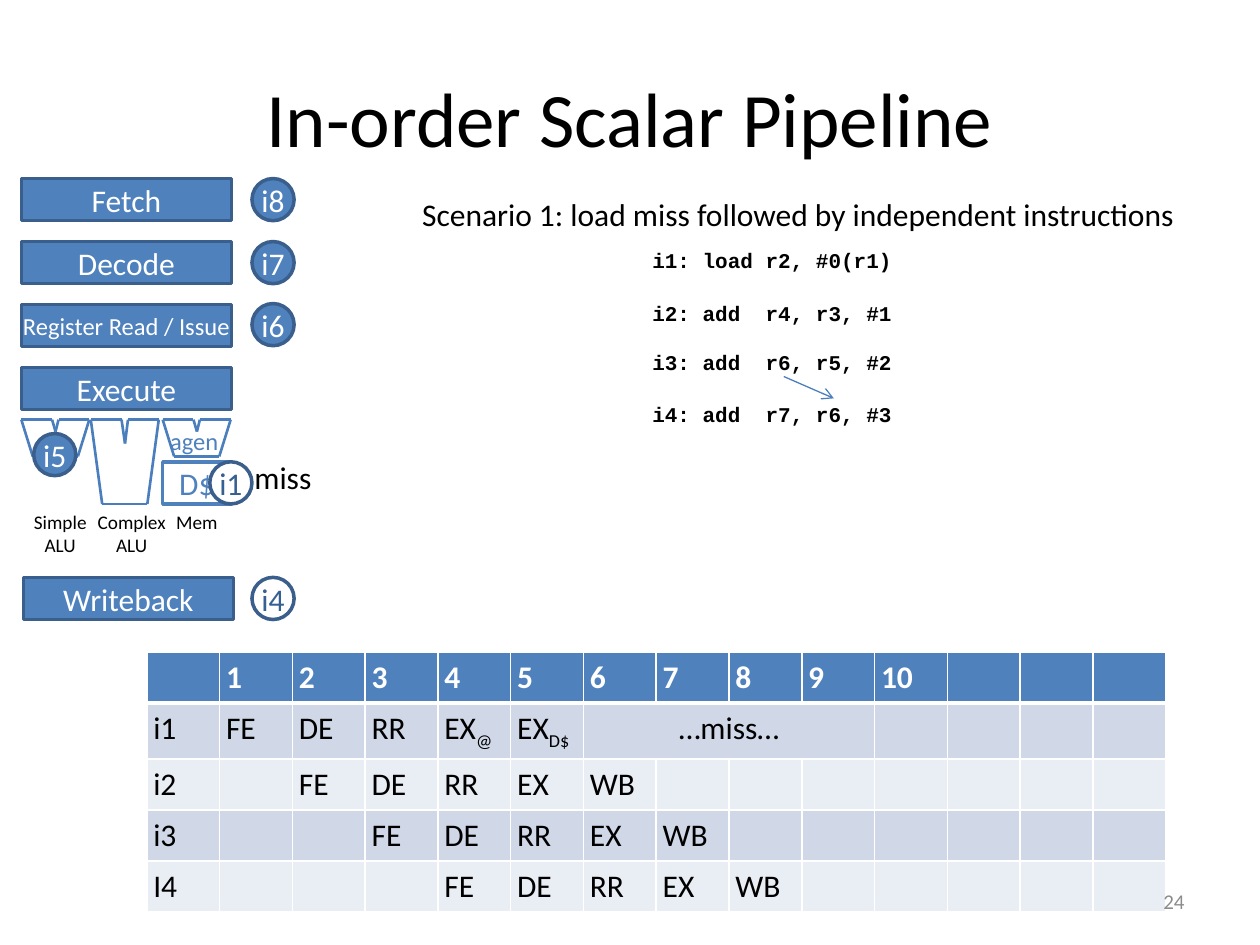
import lxml.etree
import pptx
import pptx.dml.color
import pptx.enum.shapes
import pptx.enum.text
import pptx.oxml.ns
import pptx.util

Cm, Pt = pptx.util.Cm, pptx.util.Pt
ALIGN, ANCHOR = pptx.enum.text.PP_ALIGN, pptx.enum.text.MSO_ANCHOR
SHAPE = pptx.enum.shapes.MSO_SHAPE
qn = pptx.oxml.ns.qn

COLORS = {
    "blue": "4F81BD", "outline": "3A5F8C", "line": "4B7EBC", "dark blue": "376092",
    "band 1": "D0D8E8", "band 2": "E9EDF4", "white": "FFFFFF", "black": "000000",
    "gray": "8C8C8C",
}

# Content; all lengths are in centimetres
STAGE_LEFT, STAGE_TOP, STAGE_PITCH = 0.43, 3.6, 1.27
STAGE_WIDTH, STAGE_HEIGHT, BADGE_SIZE, BADGE_LEFT = 4.24, 0.85, 0.85, 5.08
WRITEBACK_LEFT, WRITEBACK_TOP = 0.47, 11.64
STAGES = [("Fetch", 18), ("Decode", 18), ("Register Read / Issue", 14), ("Execute", 18)]

# Functional units: left, height, notch depth
UNIT_TOP = 8.46
UNITS = [(0.43, 0.74, 0.24), (1.83, 1.7, 0.48), (3.28, 0.74, 0.24)]

# Instruction badges: name, left, top, filled
BADGES = [
    ("i8", BADGE_LEFT, STAGE_TOP, True),
    ("i7", BADGE_LEFT, STAGE_TOP + STAGE_PITCH, True),
    ("i6", BADGE_LEFT, STAGE_TOP + 2 * STAGE_PITCH - 0.02, True),
    ("i1", 4.23, 9.31, False),
    ("i5", 0.68, 8.74, True),
    ("i4", BADGE_LEFT, WRITEBACK_TOP, False),
]

# Labels: text, (left, top, width, height), text format
LABELS = [
    ("agen", (3.18, 8.46, 1.5, 0.86), {"size": 14, "color": "blue"}),
    ("Simple\nALU", (0.43, 10.16, 1.57, 1.19), {"size": 11, "align": ALIGN.CENTER}),
    ("Complex\nALU", (1.7, 10.16, 1.91, 1.19), {"size": 11, "align": ALIGN.CENTER}),
    ("Mem", (3.3, 10.16, 1.35, 0.74), {"size": 11}),
    ("Scenario 1: load miss followed by independent instructions",
     (8.26, 3.81, 15.88, 1.02), {}),
]
CODE = [
    ("i1: load r2, #0(r1)", 4.87),
    ("i2: add  r4, r3, #1", 5.93),
    ("i3: add  r6, r5, #2", 6.92),
    ("i4: add  r7, r6, #3", 7.98),
]

# Pipeline table: instruction, first cycle, stages; a pair holds a subscript
COLUMNS, COLUMN_WIDTH, ROW_HEIGHT = 14, 1.467, 1.03
LAST_CYCLE = 10
TIMELINE = [
    ("i1", 1, ["FE", "DE", "RR", ("EX", "@"), ("EX", "D$"), "…miss…"]),
    ("i2", 2, ["FE", "DE", "RR", "EX", "WB"]),
    ("i3", 3, ["FE", "DE", "RR", "EX", "WB"]),
    ("I4", 4, ["FE", "DE", "RR", "EX", "WB"]),
]
MISS_CYCLES = (6, 9)


def rgb(name):
    return pptx.dml.color.RGBColor.from_string(COLORS[name])


def set_attributes(target, values):
    for name, value in values.items():
        setattr(target, name, value)


def format_text(frame, size=18, color="black", font="Calibri", bold=False, align=ALIGN.LEFT):
    for paragraph in frame.paragraphs:
        paragraph.alignment = align
        for run in paragraph.runs:
            set_attributes(run.font, {"name": font, "size": Pt(size), "bold": bold})
            run.font.color.rgb = rgb(color)


def add_label(slide, text, box, wrap=False, anchor=ANCHOR.TOP, **text_format):
    frame = slide.shapes.add_textbox(*map(Cm, box)).text_frame
    auto_size = pptx.enum.text.MSO_AUTO_SIZE
    set_attributes(frame, {
        "text": text, "word_wrap": wrap, "vertical_anchor": anchor,
        "auto_size": auto_size.NONE if wrap else auto_size.SHAPE_TO_FIT_TEXT,
    })
    format_text(frame, **text_format)


def add_block(slide, kind, text, box, fill="blue", line="outline", color="white",
              size=18, margin=None):
    shape = slide.shapes.add_shape(kind, *map(Cm, box))
    shape.shadow.inherit = False
    if fill:
        shape.fill.solid()
        shape.fill.fore_color.rgb = rgb(fill)
    else:
        shape.fill.background()
    shape.line.color.rgb = rgb(line)
    shape.line.width = Pt(2)
    frame = shape.text_frame
    set_attributes(frame, {"text": text, "word_wrap": True, "vertical_anchor": ANCHOR.MIDDLE})
    if margin is not None:
        set_attributes(frame, {"margin_left": margin, "margin_right": margin})
    if kind == SHAPE.OVAL:
        set_attributes(frame, {"margin_top": 0, "margin_bottom": 0})
    format_text(frame, size, color, align=ALIGN.CENTER)


def add_line(shapes, start, end, width=1.5, arrow=False):
    connector = shapes.add_connector(
        pptx.enum.shapes.MSO_CONNECTOR.STRAIGHT, *map(Cm, (*start, *end)))
    connector.line.color.rgb = rgb("line")
    connector.line.width = Pt(width)
    if arrow:
        lxml.etree.SubElement(connector.line._get_or_add_ln(), qn("a:tailEnd"), type="arrow")
    lxml.etree.SubElement(connector._element.spPr, qn("a:effectLst"))


def add_unit(slide, left, height, notch):
    outline = [(0, 0), (0.23, height), (1.14, height), (1.37, 0),
               (0.75, 0), (0.69, notch), (0.62, 0)]
    points = [(left + x, UNIT_TOP + y) for x, y in outline]
    group = slide.shapes.add_group_shape()
    for start, end in zip(points, points[1:] + points[:1]):
        add_line(group.shapes, start, end)


def fill_cell(cell, content, row):
    properties = cell._tc.get_or_add_tcPr()
    for side in "LRTB":
        heavy = (row == 0 and side == "B") or (row == 1 and side == "T")
        border = lxml.etree.SubElement(properties, qn(f"a:ln{side}"), w=str(Pt(3 if heavy else 1)))
        solid = lxml.etree.SubElement(border, qn("a:solidFill"))
        lxml.etree.SubElement(solid, qn("a:srgbClr"), val=COLORS["white"])
    cell.fill.solid()
    cell.fill.fore_color.rgb = rgb("blue" if row == 0 else "band 1" if row % 2 else "band 2")
    margin = Cm(0.13)
    set_attributes(cell, {f"margin_{side}": margin for side in ("left", "right", "top", "bottom")})
    paragraph = cell.text_frame.paragraphs[0]
    parts = content if isinstance(content, tuple) else (content,)
    for index, part in enumerate(parts):
        if part:
            run = paragraph.add_run()
            run.text = part
            if index:
                run._r.get_or_add_rPr().set("baseline", "-25000")
    format_text(cell.text_frame, color="black" if row else "white", bold=row == 0,
                align=ALIGN.CENTER if cell.is_merge_origin else ALIGN.LEFT)


def add_timeline(slide):
    rows = [["", *map(str, range(1, LAST_CYCLE + 1))]]
    rows += [[name, *[""] * (first - 1), *stages] for name, first, stages in TIMELINE]
    table = slide.shapes.add_table(
        len(rows), COLUMNS, Cm(2.96), Cm(13.14),
        Cm(COLUMNS * COLUMN_WIDTH), Cm(len(rows) * ROW_HEIGHT)).table
    for column in table.columns:
        column.width = Cm(COLUMN_WIDTH)
    first, last = MISS_CYCLES
    table.cell(1, first).merge(table.cell(1, last))
    for row, contents in enumerate(rows):
        table.rows[row].height = Cm(ROW_HEIGHT)
        contents += [""] * (COLUMNS - len(contents))
        for column, content in enumerate(contents):
            fill_cell(table.cell(row, column), content, row)


def main():
    presentation = pptx.Presentation()
    set_attributes(presentation, {"slide_width": Cm(25.4), "slide_height": Cm(19.05)})
    slide = presentation.slides.add_slide(presentation.slide_layouts[6])

    # Title
    add_label(slide, "In-order Scalar Pipeline", (1.27, 0.76, 22.86, 3.18), wrap=True,
              anchor=ANCHOR.MIDDLE, size=44, align=ALIGN.CENTER)

    # Pipeline stages and functional units
    for index, (name, size) in enumerate(STAGES):
        box = (STAGE_LEFT, STAGE_TOP + index * STAGE_PITCH, STAGE_WIDTH, STAGE_HEIGHT)
        add_block(slide, SHAPE.RECTANGLE, name, box, size=size, margin=0 if size < 18 else None)
    add_block(slide, SHAPE.RECTANGLE, "Writeback",
              (WRITEBACK_LEFT, WRITEBACK_TOP, STAGE_WIDTH, STAGE_HEIGHT))
    for unit in UNITS:
        add_unit(slide, *unit)
    add_block(slide, SHAPE.RECTANGLE, "D$", (3.28, 9.31, 1.38, 0.85),
              fill=None, line="blue", color="blue")

    # Labels, code and the dependence arrow
    for text, box, text_format in LABELS:
        add_label(slide, text, box, **text_format)
    for text, top in CODE:
        add_label(slide, text, (12.9, top, 5.41, 0.77), size=12, font="Courier New", bold=True)
    add_line(slide.shapes, (15.8, 7.59), (16.81, 8.03), width=0.75, arrow=True)

    # Timeline, then the instructions in flight
    add_timeline(slide)
    for name, left, top, filled in BADGES:
        add_block(slide, SHAPE.OVAL, name, (left, top, BADGE_SIZE, BADGE_SIZE), margin=0,
                  fill="blue" if filled else "white", color="white" if filled else "dark blue")
    add_label(slide, "miss", (4.88, 9.1, 1.68, 1.02))

    # Slide number
    add_label(slide, "24", (18.2, 17.66, 5.93, 1.01), wrap=True, anchor=ANCHOR.MIDDLE,
              size=12, color="gray", align=ALIGN.RIGHT)
    presentation.save("out.pptx")


if __name__ == "__main__":
    main()
